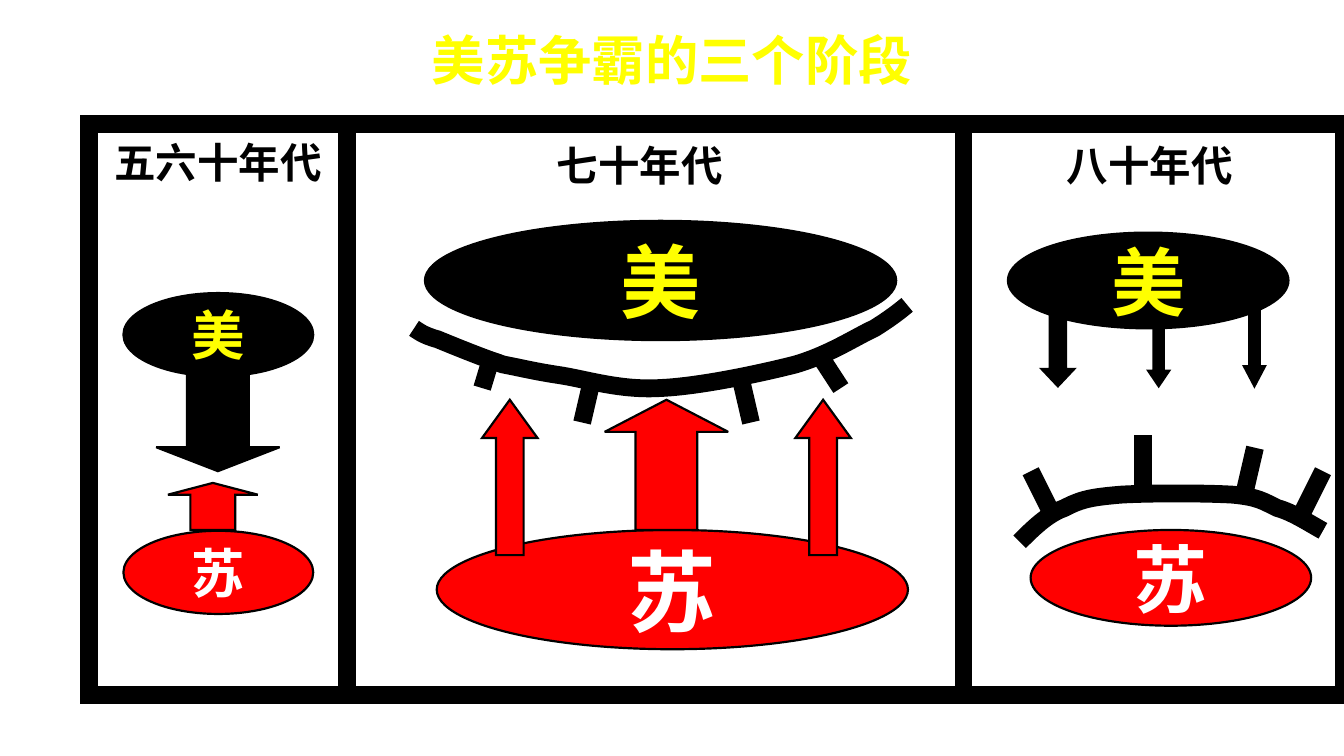
from lxml import etree
from pptx import Presentation
from pptx import util as u
from pptx.dml.color import RGBColor
from pptx.enum import shapes, text
from pptx.oxml import ns

BLACK, RED, YELLOW, WHITE = "000000", "FF0000", "FFFF00", "FFFFFF"
FONT = "Noto Sans CJK SC"


def color(value):
    return RGBColor.from_string(value)


def write(shape, content, size=14, ink=BLACK, wrap=False):
    frame = shape.text_frame
    frame.auto_size = text.MSO_AUTO_SIZE.NONE
    frame.word_wrap = wrap
    frame.vertical_anchor = text.MSO_ANCHOR.MIDDLE
    frame.margin_left = frame.margin_right = u.Cm(0.15)
    frame.margin_top = frame.margin_bottom = u.Cm(0.08)
    paragraph = frame.paragraphs[0]
    paragraph.alignment = text.PP_ALIGN.CENTER
    run = paragraph.add_run()
    run.text = content
    run.font.size = u.Pt(size)
    run.font.bold = True
    run.font.color.rgb = color(ink)
    run.font.name = FONT
    east_asian = etree.SubElement(run.font._element, ns.qn("a:ea"))
    east_asian.set("typeface", FONT)


def bend(shape, curve):
    segments = list(shape._element.iter(ns.qn("a:lnTo")))
    for index, segment in enumerate(segments):
        cubic = etree.Element(ns.qn("a:cubicBezTo"))
        for x, y in curve[3 * index + 1:3 * index + 4]:
            point = etree.SubElement(cubic, ns.qn("a:pt"))
            point.set("x", str(u.Cm(x) - shape.left))
            point.set("y", str(u.Cm(y) - shape.top))
        segment.getparent().replace(segment, cubic)


class StageSlide:
    thin, thick = u.Pt(0.75), u.Pt(6)

    def __init__(self, presentation):
        self.slide = presentation.slides.add_slide(presentation.slide_layouts[5])
        self.shapes = self.slide.shapes

    def title(self, content, left, top, width, height):
        shape = self.slide.shapes.title
        shape.left, shape.top, shape.width, shape.height = map(u.Cm, (left, top, width, height))
        write(shape, content, size=18, ink=YELLOW)

    def outline(self, shape, width):
        shape.line.color.rgb = color(BLACK)
        shape.line.width = width
        miter = etree.SubElement(shape.line._get_or_add_ln(), ns.qn("a:miter"))
        miter.set("lim", "800000")

    def preset(self, parent, kind, box, fill, line_width=thin):
        shape = parent.add_shape(kind, *map(u.Cm, box))
        shape.shadow.inherit = False
        shape.fill.solid()
        shape.fill.fore_color.rgb = color(fill)
        self.outline(shape, line_width)
        return shape

    def label(self, content, center, middle):
        width, height = 3.78, 0.74
        box = (center - width / 2, middle - height / 2, width, height)
        write(self.shapes.add_textbox(*map(u.Cm, box)), content, wrap=True)

    def power(self, name, box, size):
        fill, ink = {"美": (BLACK, YELLOW), "苏": (RED, WHITE)}[name]
        shape = self.preset(self.shapes, shapes.MSO_SHAPE.OVAL, box, fill)
        write(shape, name, size=size, ink=ink)

    def arrow(self, direction, box, head):
        kind, fill = {"down": (shapes.MSO_SHAPE.DOWN_ARROW, BLACK),
                      "up": (shapes.MSO_SHAPE.UP_ARROW, RED)}[direction]
        shape = self.preset(self.shapes, kind, box, fill)
        shape.adjustments[0] = 0.5
        shape.adjustments[1] = head

    def line(self, parent, ends):
        connector = parent.add_connector(shapes.MSO_CONNECTOR.STRAIGHT, *map(u.Cm, ends))
        self.outline(connector, self.thick)
        etree.SubElement(connector._element.spPr, ns.qn("a:effectLst"))

    def frame(self, left, top, width, height, dividers):
        group = self.shapes.add_group_shape().shapes
        self.preset(group, shapes.MSO_SHAPE.RECTANGLE, (left, top, width, height), WHITE, self.thick)
        for x in dividers:
            self.line(group, (x, top, x, top + height))

    def barrier(self, curve, spikes):
        group = self.shapes.add_group_shape().shapes
        anchors = [tuple(map(u.Cm, point)) for point in curve[::3]]
        builder = group.build_freeform(*anchors[0])
        builder.add_line_segments(anchors[1:], close=False)
        arc = builder.convert_to_shape()
        bend(arc, curve)
        arc.shadow.inherit = False
        arc.fill.background()
        self.outline(arc, self.thick)
        for ends in spikes:
            self.line(group, ends)


def main():
    presentation = Presentation()
    presentation.slide_width, presentation.slide_height = u.Cm(16), u.Cm(9)
    stage = StageSlide(presentation)
    stage.title("美苏争霸的三个阶段", 4.39, 0.16, 7.22, 1.09)
    stage.frame(1.06, 1.48, 14.94, 6.8, dividers=(4.13, 11.47))
    stage.label("七十年代", 7.62, 1.96)
    stage.label("八十年代", 13.69, 1.96)
    stage.label("五六十年代", 2.6, 1.93)

    stage.power("美", (1.47, 3.49, 2.26, 0.99), 18)
    stage.power("苏", (1.47, 6.32, 2.26, 0.99), 18)
    stage.arrow("down", (1.86, 4.47, 1.47, 1.14), 0.25)
    stage.arrow("up", (2, 5.75, 1.07, 0.56), 0.25)

    stage.power("苏", (5.2, 6.31, 5.61, 1.42), 30)
    stage.power("美", (5.06, 2.63, 5.61, 1.42), 27)
    for left in (5.74, 9.47):
        stage.arrow("up", (left, 4.76, 0.66, 1.85), 0.69)
    stage.arrow("up", (7.2, 4.76, 1.47, 1.55), 0.26)
    stage.barrier(
        [(4.93, 3.91), (4.98, 3.94), (5.03, 3.99), (5.21, 4.04),
         (5.38, 4.11), (5.77, 4.27), (5.99, 4.34),
         (6.25, 4.39), (6.35, 4.42), (6.68, 4.47),
         (6.99, 4.52), (7.39, 4.65), (7.87, 4.62),
         (8.33, 4.6), (9.04, 4.45), (9.47, 4.34),
         (9.88, 4.22), (10.19, 4.01), (10.41, 3.91),
         (10.62, 3.78), (10.74, 3.68), (10.8, 3.63)],
        [(5.87, 4.19, 5.74, 4.62), (7.06, 4.47, 6.93, 5.03),
         (8.81, 4.47, 8.94, 5.03), (9.73, 4.19, 10.01, 4.62)])

    stage.power("苏", (12.27, 6.31, 3.34, 1.14), 25)
    stage.power("美", (12, 2.77, 3.34, 1.14), 25)
    stage.barrier(
        [(12.14, 6.45), (12.29, 6.3), (12.47, 6.12), (12.67, 6.05),
         (12.88, 5.94), (13, 5.92), (13.34, 5.89),
         (13.67, 5.87), (14.35, 5.87), (14.68, 5.89),
         (14.99, 5.92), (15.04, 5.97), (15.21, 6.05),
         (15.39, 6.1), (15.57, 6.22), (15.75, 6.32)],
        [(12.27, 5.61, 12.55, 6.17), (13.61, 5.18, 13.61, 5.89),
         (14.94, 5.33, 14.81, 5.89), (15.75, 5.61, 15.47, 6.17)])
    stage.arrow("down", (12.4, 3.76, 0.39, 0.84), 0.53)
    stage.arrow("down", (14.81, 3.63, 0.25, 0.97), 0.95)
    stage.arrow("down", (13.67, 3.84, 0.25, 0.76), 0.74)
    presentation.save("out.pptx")


if __name__ == "__main__":
    main()
